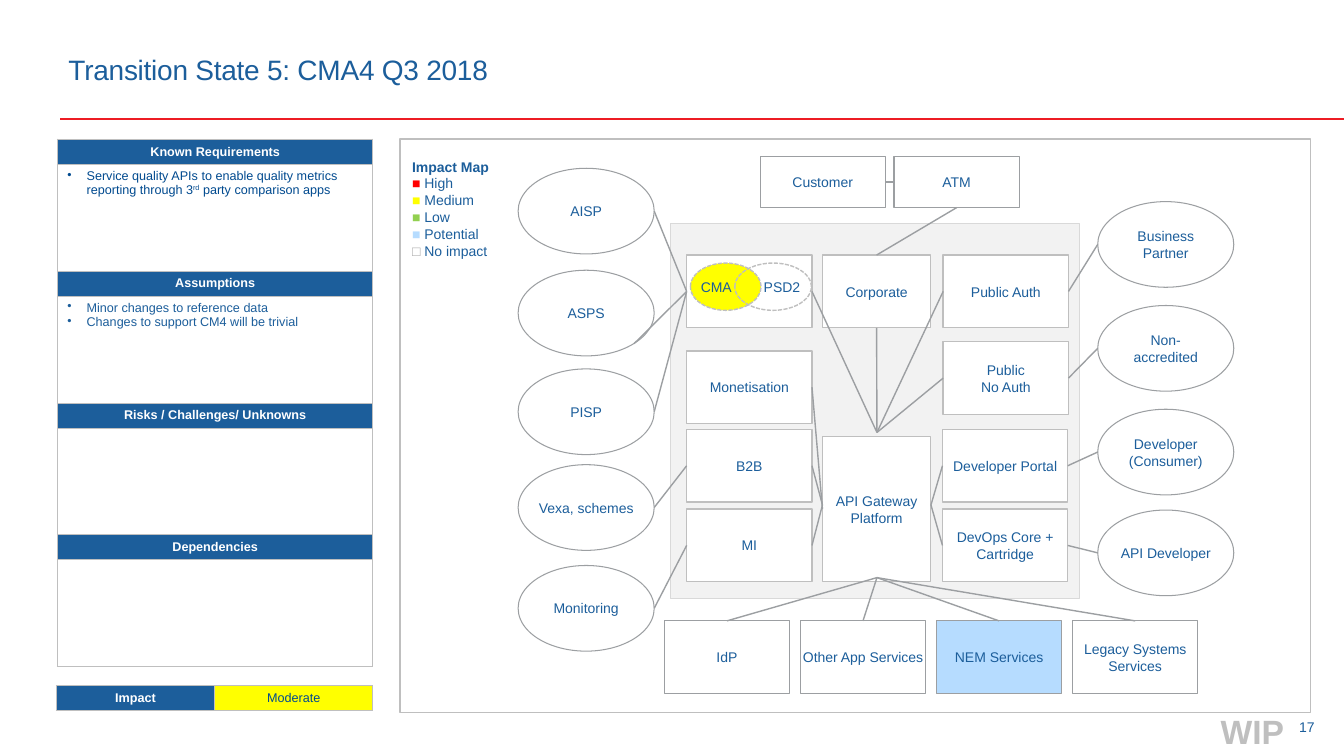
from lxml import etree
from pptx import Presentation
from pptx.dml.color import RGBColor
from pptx.enum.dml import MSO_LINE
from pptx.enum.shapes import MSO_CONNECTOR, MSO_SHAPE
from pptx.enum.text import MSO_ANCHOR, PP_ALIGN
from pptx.oxml.ns import qn
from pptx.util import Pt

LEFT, CENTER, RIGHT = PP_ALIGN.LEFT, PP_ALIGN.CENTER, PP_ALIGN.RIGHT
TOP, MIDDLE = MSO_ANCHOR.TOP, MSO_ANCHOR.MIDDLE
RECT, OVAL = MSO_SHAPE.RECTANGLE, MSO_SHAPE.OVAL
STRAIGHT, DASH = MSO_CONNECTOR.STRAIGHT, MSO_LINE.SQUARE_DOT
SIDE_TOP, SIDE_LEFT, SIDE_BOTTOM, SIDE_RIGHT = range(4)
BLUE, DARK_BLUE, GREY, LIGHT_GREY = "1C5E9B", "004A8F", "9C9FA2", "BFBFBF"
WHITE, YELLOW, PALE_BLUE = "FFFFFF", "FFFF00", "B6DCFF"


def color(value):
    return RGBColor.from_string(value)


class Slide:
    font = "Arial"

    def __init__(self, page):
        self.page = page

    def style(self, para, size, ink=BLUE, bold=False, align=LEFT):
        para.alignment = align
        para.font.name, para.font.size, para.font.bold = self.font, Pt(size), bold
        para.font.color.rgb = color(ink)

    def fill_text(self, frame, lines, size, ink=BLUE, bold=False, align=LEFT):
        """Each line is a string or a list of (text, ink) spans."""
        for number, line in enumerate(lines):
            para = frame.add_paragraph() if number else frame.paragraphs[0]
            self.style(para, size, ink, bold, align)
            if isinstance(line, str):
                para.text = line
                continue
            for text, span_ink in line:
                span = para.add_run()
                span.text = text
                span.font.color.rgb = color(span_ink)

    def title(self, text, left, top, width, height):
        box = self.page.shapes.title
        box.left, box.top, box.width, box.height = map(Pt, (left, top, width, height))
        frame = box.text_frame
        frame.margin_left = frame.margin_right = Pt(8.6)
        frame.vertical_anchor = MIDDLE
        self.fill_text(frame, [text], 20)
        frame.paragraphs[0].runs[0].font._element.set("spc", "-20")

    def text(self, lines, left, top, width, height, size=10, ink=BLUE, bold=False,
             align=LEFT, anchor=TOP, wrap=True):
        box = self.page.shapes.add_textbox(Pt(left), Pt(top), Pt(width), Pt(height))
        frame = box.text_frame
        frame.word_wrap, frame.vertical_anchor = wrap, anchor
        self.fill_text(frame, lines, size, ink, bold, align)
        return frame

    def shape(self, kind, left, top, width, height, text="", fill=WHITE,
              line=GREY, weight=0.75, align=CENTER, dash=None):
        shape = self.page.shapes.add_shape(kind, Pt(left), Pt(top), Pt(width), Pt(height))
        shape.shadow.inherit = False
        if fill:
            shape.fill.solid()
            shape.fill.fore_color.rgb = color(fill)
        else:
            shape.fill.background()
        shape.line.color.rgb, shape.line.width = color(line), Pt(weight)
        if dash:
            shape.line.dash_style = dash
        if text:
            frame = shape.text_frame
            frame.margin_left = frame.margin_right = 0
            frame.margin_top = frame.margin_bottom = 0
            frame.word_wrap, frame.vertical_anchor = True, MIDDLE
            self.fill_text(frame, [text], 10, align=align)
        return shape

    def line(self, start, end, ink=GREY, weight=1):
        """Each end is an (x, y) point in points or a (shape, side) pair."""
        points = [self.point(*place) for place in (start, end)]
        line = self.page.shapes.add_connector(STRAIGHT, *points[0], *points[1])
        line.line.color.rgb, line.line.width = color(ink), Pt(weight)
        etree.SubElement(line._element.spPr, qn("a:effectLst"))
        for place, connect in ((start, line.begin_connect), (end, line.end_connect)):
            if hasattr(place[0], "auto_shape_type") and place[0].auto_shape_type == RECT:
                connect(*place)

    def point(self, first, second):
        if not hasattr(first, "auto_shape_type"):
            return Pt(first), Pt(second)
        across, down = ((0.5, 0), (0, 0.5), (0.5, 1), (1, 0.5))[second]
        return (int(first.left + across * first.width),
                int(first.top + down * first.height))

    def table(self, left, top, widths, heights):
        table = self.page.shapes.add_table(
            len(heights), len(widths), Pt(left), Pt(top),
            Pt(sum(widths)), Pt(sum(heights))).table
        table.first_row = table.horz_banding = False
        for column, width in zip(table.columns, widths):
            column.width = Pt(width)
        for row, height in zip(table.rows, heights):
            row.height = Pt(height)
        return table

    def cell(self, cell, lines, fill, ink, bold=False, align=CENTER, anchor=MIDDLE):
        properties = cell._tc.get_or_add_tcPr()
        for side in ("lnL", "lnR", "lnT", "lnB"):
            border = etree.SubElement(properties, qn("a:" + side), w=str(Pt(0.75)))
            solid = etree.SubElement(border, qn("a:solidFill"))
            etree.SubElement(solid, qn("a:srgbClr"), val=LIGHT_GREY)
        cell.fill.solid()
        cell.fill.fore_color.rgb = color(fill)
        cell.margin_top = cell.margin_bottom = Pt(3.5)
        cell.vertical_anchor = anchor
        self.fill_text(cell.text_frame, lines, 9, ink, bold, align)

    def bullets(self, frame):
        for para in frame.paragraphs:
            properties = para._p.get_or_add_pPr()
            properties.set("marL", str(Pt(13.7)))
            properties.set("indent", str(-Pt(13.7)))
            bullet = etree.Element(qn("a:buChar"), char="•")
            properties.insert(0, bullet)


def build():
    deck = Presentation()
    deck.slide_width, deck.slide_height = Pt(960), Pt(540)
    slide = Slide(deck.slides.add_slide(deck.slide_layouts[5]))

    # Heading and footer
    slide.line((43.2, 85), (960, 85), "ED1C24", 2)
    slide.title("Transition State 5: CMA4 Q3 2018", 40.3, 15.1, 872, 69.1)
    slide.text(["17"], 914.4, 499, 38.2, 41, align=CENTER, anchor=MIDDLE)
    slide.text(["WIP"], 862.6, 504, 64, 36, 24, LIGHT_GREY, True, CENTER)

    # Requirement sections
    sections = [
        ("Known Requirements", DARK_BLUE,
         [[("Service quality APIs to enable quality metrics reporting through 3", DARK_BLUE),
           ("rd", DARK_BLUE), (" party comparison apps", DARK_BLUE)]]),
        ("Assumptions", BLUE,
         ["Minor changes to reference data", "Changes to support CM4 will be trivial"]),
        ("Risks / Challenges/ Unknowns", BLUE, []),
        ("Dependencies", BLUE, []),
    ]
    table = slide.table(41, 99.4, [225.4], [17.4, 76.4] * len(sections))
    for number, (heading, ink, items) in enumerate(sections):
        body = table.cell(2 * number + 1, 0)
        slide.cell(table.cell(2 * number, 0), [heading], BLUE, WHITE, True)
        slide.cell(body, items, WHITE, ink, align=LEFT, anchor=TOP)
        if items:
            slide.bullets(body.text_frame)
    ordinal = table.cell(1, 0).text_frame.paragraphs[0].runs[1]
    ordinal.font._element.set("baseline", "30000")

    # Impact rating
    rating = slide.table(40.3, 489.6, [113, 113], [18])
    slide.cell(rating.cell(0, 0), ["Impact"], BLUE, WHITE, True)
    slide.cell(rating.cell(0, 1), ["Moderate"], YELLOW, DARK_BLUE)

    # Diagram frame, legend and platform area
    slide.shape(RECT, 285.8, 99.4, 650.2, 409.7, fill=None, line=LIGHT_GREY, weight=1)
    levels = [("■", "FF0000", "High"), ("■", YELLOW, "Medium"), ("■", "92D050", "Low"),
              ("■", PALE_BLUE, "Potential"), ("□", "A6A6A6", "No impact")]
    legend = slide.text(
        ["Impact Map"] + [[(mark + " ", ink), (name, BLUE)] for mark, ink, name in levels],
        287.3, 109.4, 71.3, 193, wrap=False)
    legend.paragraphs[0].font.bold = True
    slide.shape(RECT, 478.8, 159.8, 292.3, 267.8, fill="F2F2F2", line="D9D9D9", weight=1)

    # Platform components
    components = {}
    for name, left, top, width, height in [
            ("", 490.5, 182.2, 89.5, 52), ("Monetisation", 490.5, 250.6, 89.5, 52),
            ("B2B", 490.5, 306.7, 89.5, 52), ("MI", 490.5, 363.6, 89.5, 52),
            ("Corporate", 587.5, 182.2, 77.3, 52),
            ("API Gateway\vPlatform", 587.5, 311.8, 77.3, 103.7),
            ("Public Auth", 673.7, 182.2, 89.5, 52),
            ("Public\vNo Auth", 673.7, 244.1, 89.5, 52),
            ("Developer Portal", 673.2, 306.7, 89.5, 52),
            ("DevOps Core + Cartridge", 673.2, 363.6, 89.5, 52)]:
        components[name] = slide.shape(RECT, left, top, width, height, name,
                                       line=LIGHT_GREY, weight=1)
    (regulated, monetisation, b2b, reporting, corporate, gateway,
     public_auth, no_auth, portal, devops) = components.values()
    slide.shape(OVAL, 493.2, 187.9, 50.4, 33.8, "CMA", YELLOW, LIGHT_GREY, 1, LEFT, DASH)
    slide.shape(OVAL, 524.9, 187.9, 54.7, 33.8, "PSD2", None, LIGHT_GREY, 1, RIGHT, DASH)

    # Outside parties, channels and services
    def party(left, top, name):
        return slide.shape(OVAL, left, top, 97.2, 61.2, name)

    aisp, asps, pisp, schemes, monitoring = [
        party(370.1, top, name) for top, name in [
            (120.2, "AISP"), (193, "ASPS"), (263.5, "PISP"),
            (331.9, "Vexa, schemes"), (403.9, "Monitoring")]]
    partner, non_accredited, consumer, api_developer = [
        party(784.1, top, name) for top, name in [
            (144, "Business Partner"), (218.2, "Non-\vaccredited"),
            (292.3, "Developer\v(Consumer)"), (364.3, "API Developer")]]
    customer, atm = [slide.shape(RECT, left, 111.6, 89.5, 36.7, name)
                     for left, name in [(542.9, "Customer"), (638.6, "ATM")]]
    services = [
        slide.shape(RECT, 474.5 + 97.2 * number, 443.5, 89.5, 52, name, fill)
        for number, (name, fill) in enumerate([
            ("IdP", WHITE), ("Other App Services", WHITE),
            ("NEM Services", PALE_BLUE), ("Legacy Systems Services", WHITE)])]

    # Links
    hub_top, hub_bottom = (626.4, 308.9), (626.4, 412.6)
    hub_left, hub_right = (587.5, 360.7), (665, 360.7)
    links = [((customer, SIDE_RIGHT), (atm, SIDE_LEFT)),
             ((atm, SIDE_BOTTOM), (corporate, SIDE_TOP)),
             ((452.9, 245.5), (regulated, SIDE_LEFT)),
             ((monetisation, SIDE_RIGHT), (gateway, SIDE_LEFT))]
    links += [((outer, SIDE_RIGHT), (inner, SIDE_LEFT)) for outer, inner in [
        (aisp, regulated), (pisp, regulated), (schemes, b2b), (monitoring, reporting)]]
    links += [((outer, SIDE_LEFT), (inner, SIDE_RIGHT)) for outer, inner in [
        (partner, public_auth), (non_accredited, no_auth),
        (consumer, portal), (api_developer, devops)]]
    links += [(hub_top, end) for end in [
        (corporate, SIDE_BOTTOM), (regulated, SIDE_RIGHT),
        (public_auth, SIDE_LEFT), (no_auth, SIDE_LEFT)]]
    links += [(hub_left, (inner, SIDE_RIGHT)) for inner in (b2b, reporting)]
    links += [(hub_right, (inner, SIDE_LEFT)) for inner in (portal, devops)]
    links += [(hub_bottom, (service, SIDE_TOP)) for service in services]
    for start, end in links:
        slide.line(start, end)

    deck.save("out.pptx")


if __name__ == "__main__":
    build()
